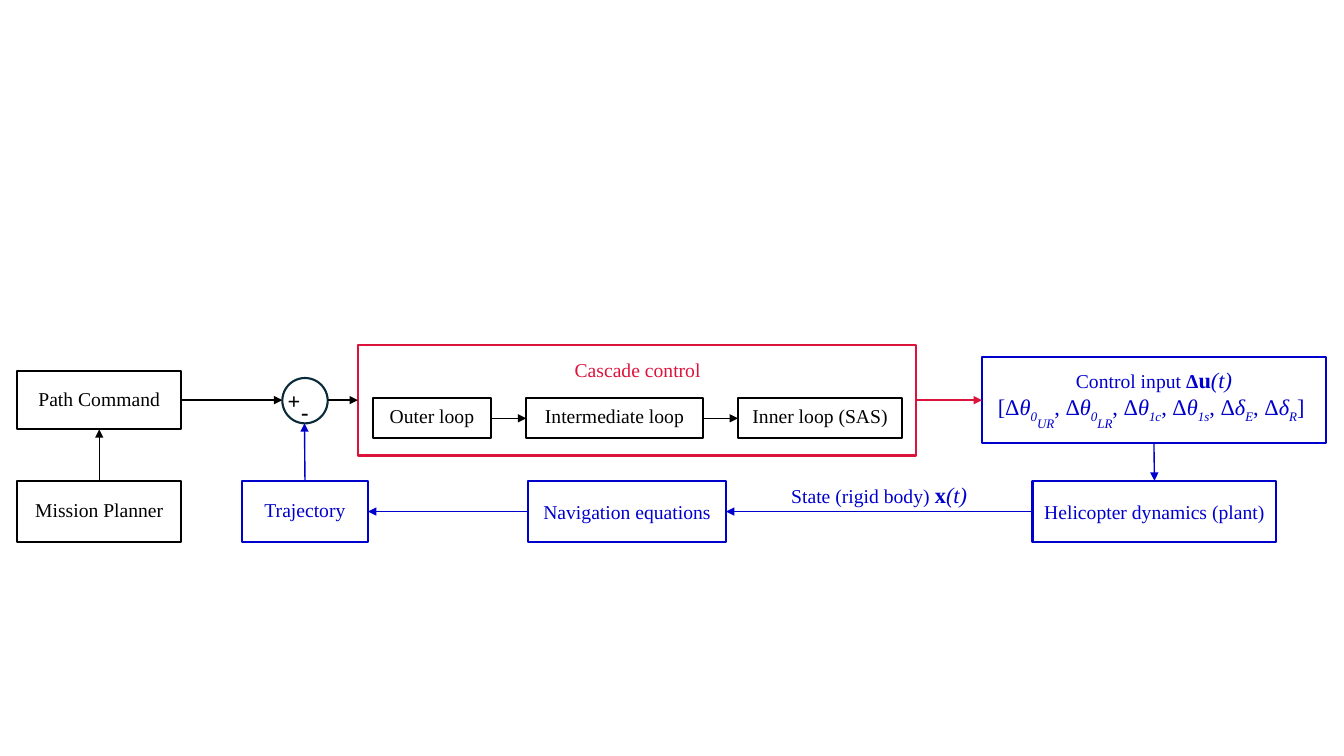
"""Build a block diagram of a helicopter flight control loop."""
from lxml import etree
from pptx import Presentation
from pptx.dml.color import RGBColor
from pptx.enum.shapes import MSO_CONNECTOR, MSO_SHAPE
from pptx.enum.text import MSO_ANCHOR, PP_ALIGN
from pptx.oxml.ns import qn
from pptx.util import Inches, Pt

BLACK = RGBColor(0x00, 0x00, 0x00)
WHITE = RGBColor(0xFF, 0xFF, 0xFF)
BLUE = RGBColor(0x00, 0x00, 0xCD)
CRIMSON = RGBColor(0xDC, 0x14, 0x3C)
NAVY = RGBColor(0x09, 0x2A, 0x39)
RECTANGLE, OVAL = MSO_SHAPE.RECTANGLE, MSO_SHAPE.OVAL
STRAIGHT = MSO_CONNECTOR.STRAIGHT
MIDDLE, TOP_ANCHOR = MSO_ANCHOR.MIDDLE, MSO_ANCHOR.TOP
CENTER = PP_ALIGN.CENTER
TOP, LEFT, BOTTOM, RIGHT = range(4)
FONT = "Times New Roman"


def add_span(para, text, size=14, color=BLACK, bold=False, italic=False, baseline=0):
    span = para.add_run()
    span.text = text
    font = span.font
    font.name, font.size = FONT, Pt(size)
    font.bold, font.italic = bold, italic
    font.color.rgb = color
    if baseline:
        font._element.set("baseline", str(baseline * 1000))


class Diagram:
    def __init__(self, page):
        self.page = page

    def fill_text(self, frame, paragraphs, color, spacing, anchor=MIDDLE, top=0):
        frame.word_wrap = True
        frame.vertical_anchor = anchor
        frame.margin_left = frame.margin_right = frame.margin_bottom = 0
        frame.margin_top = Inches(top)
        for index, spans in enumerate(paragraphs):
            para = frame.add_paragraph() if index else frame.paragraphs[0]
            para.alignment = CENTER
            para.line_spacing = 1.0 if index else spacing
            for text, style in spans:
                add_span(para, text, color=color, **style)

    def block(self, place, color, paragraphs=(), spacing=1.0, kind=RECTANGLE, fill=WHITE):
        box = self.page.shapes.add_shape(kind, *map(Inches, place))
        box.shadow.inherit = False
        if fill is None:
            box.fill.background()
        else:
            box.fill.solid()
            box.fill.fore_color.rgb = fill
        box.line.color.rgb = color
        box.line.width = Pt(1.5)
        self.fill_text(box.text_frame, paragraphs, color, spacing)
        return box

    def label(self, place, color, paragraphs, spacing=1.0, anchor=MIDDLE, top=0):
        box = self.page.shapes.add_textbox(*map(Inches, place))
        self.fill_text(box.text_frame, paragraphs, color, spacing, anchor, top)

    def arrow(self, start, end, color, begin=None, finish=None):
        line = self.page.shapes.add_connector(STRAIGHT, *map(Inches, start + end))
        if begin:
            line.begin_connect(*begin)
        if finish:
            line.end_connect(*finish)
        line.line.color.rgb = color
        line.line.width = Pt(1)
        etree.SubElement(line.line._get_or_add_ln(), qn("a:tailEnd"), type="triangle")
        etree.SubElement(line._element.spPr, qn("a:effectLst"))


def plain(text, **style):
    return [[(text, style)]]


def control_input():
    title = [("Control input ", {}), ("Δ", {"bold": True}),
             ("u", {"size": 16, "bold": True}), ("(t)", {"size": 16, "italic": True})]
    vector = []
    inputs = [("θ", "0", "UR"), ("θ", "0", "LR"), ("θ", "1c", ""),
              ("θ", "1s", ""), ("δ", "E", ""), ("δ", "R", "")]
    for index, (symbol, subscript, rotor) in enumerate(inputs):
        vector.append((", Δ" if index else "[Δ", {"size": 16}))
        for text, baseline in ((symbol, 0), (subscript, -25), (rotor, -55)):
            if text:
                vector.append((text, {"size": 16, "italic": True, "baseline": baseline}))
    vector.append(("] ", {"size": 16}))
    return [title, vector]


def main():
    deck = Presentation()
    deck.slide_width, deck.slide_height = Inches(13.33), Inches(7.5)
    diagram = Diagram(deck.slides.add_slide(deck.slide_layouts[6]))

    command = diagram.block((0.17, 3.68, 1.63, 0.58), BLACK, plain("Path Command"), 0.9)
    cascade = diagram.block((3.55, 3.42, 5.54, 1.1), CRIMSON)
    diagram.label((3.87, 3.54, 4.91, 0.25), CRIMSON, plain("Cascade control"))
    loops = [diagram.block((left, 3.95, width, 0.4), BLACK, plain(text), 0.8)
             for left, width, text in ((3.7, 1.17, "Outer loop"),
                                       (5.22, 1.75, "Intermediate loop"),
                                       (7.32, 1.63, "Inner loop (SAS)"))]
    control = diagram.block((9.74, 3.54, 3.41, 0.86), BLUE, control_input(), 0.9)
    diagram.block((2.8, 3.75, 0.45, 0.45), NAVY, kind=OVAL, fill=None)
    for left, top, sign in ((2.75, 3.84, "+"), (2.86, 3.95, "-")):
        diagram.label((left, top, 0.33, 0.32), BLACK, plain(sign, size=16, bold=True),
                      0.8, TOP_ANCHOR, 0.05)

    mission, trajectory, navigation, plant = [
        diagram.block((left, 4.77, width, 0.61), color, plain(text), spacing)
        for left, width, color, text, spacing in (
            (0.17, 1.63, BLACK, "Mission Planner", 0.9),
            (2.4, 1.25, BLUE, "Trajectory", 0.9),
            (5.24, 1.96, BLUE, "Navigation equations", 1.0),
            (10.24, 2.42, BLUE, "Helicopter dynamics (plant)", 1.0))]
    state = [("State (rigid body) ", {}), ("x", {"size": 16, "bold": True}),
             ("(t)", {"size": 16, "italic": True})]
    diagram.label((7.38, 4.55, 2.68, 0.71), BLUE, [state])

    diagram.arrow((1.8, 3.97), (2.8, 3.97), BLACK, begin=(command, RIGHT))
    diagram.arrow((3.25, 3.97), (3.55, 3.97), BLACK, finish=(cascade, LEFT))
    diagram.arrow((3.02, 4.77), (3.02, 4.2), BLUE, begin=(trajectory, TOP))
    for source, side, target, end_side, color in (
            (mission, TOP, command, BOTTOM, BLACK),
            (loops[0], RIGHT, loops[1], LEFT, BLACK),
            (loops[1], RIGHT, loops[2], LEFT, BLACK),
            (cascade, RIGHT, control, LEFT, CRIMSON),
            (control, BOTTOM, plant, TOP, BLUE),
            (plant, LEFT, navigation, RIGHT, BLUE),
            (navigation, LEFT, trajectory, RIGHT, BLUE)):
        diagram.arrow((0, 0), (0, 0), color, (source, side), (target, end_side))
    deck.save("out.pptx")


if __name__ == "__main__":
    main()
